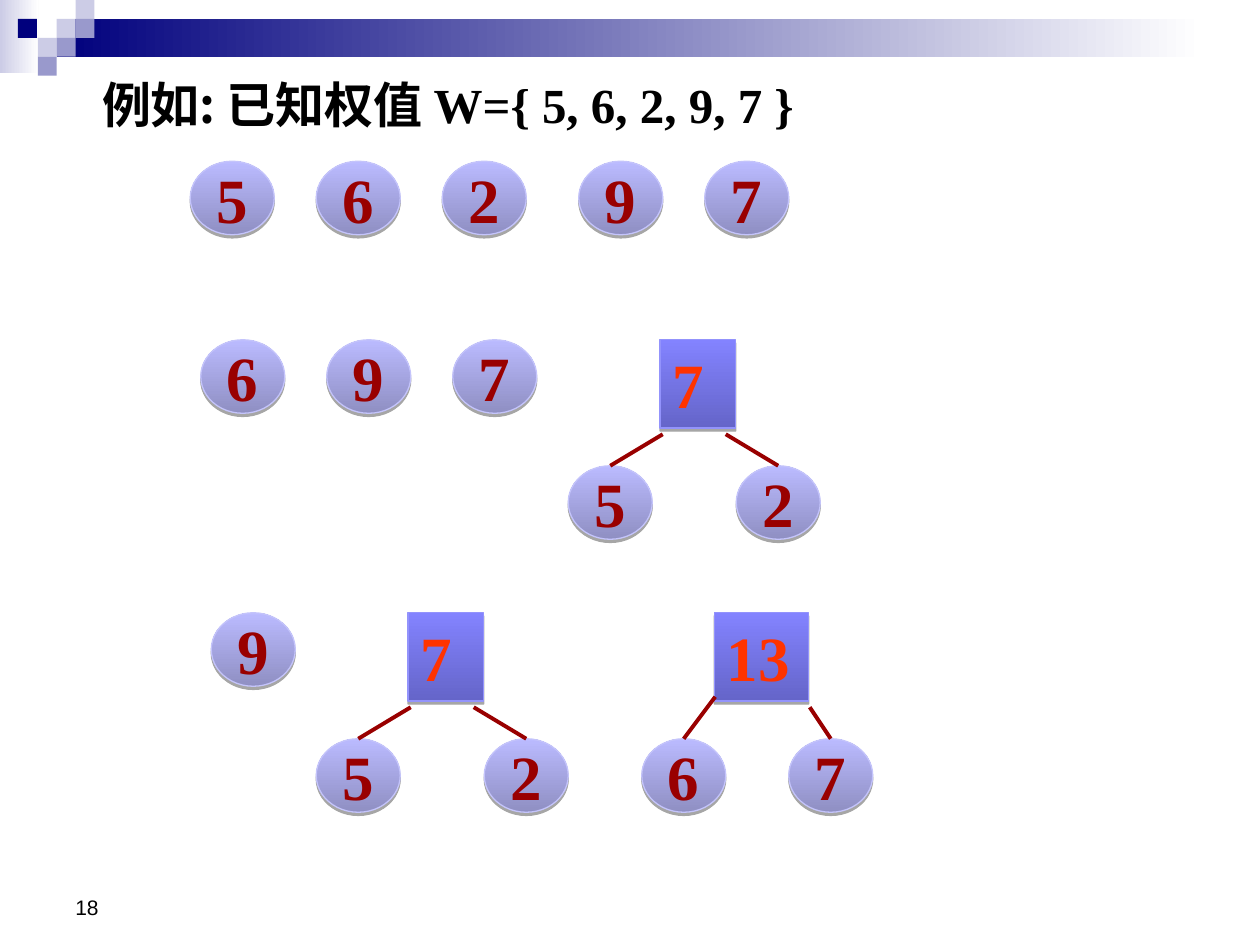
"""Build the slide showing the first merging steps of a Huffman tree."""
import lxml.etree
import pptx
import pptx.dml.color
import pptx.enum.shapes
import pptx.enum.text
import pptx.oxml.ns
import pptx.util

COLORS = {
    "navy": "00007D", "pale": "CCCCE6", "lilac": "9999CC", "white": "FFFFFF", "black": "000000",
    "leaf_low": "8F8FC3", "leaf_high": "BBBBFF", "leaf_edge": "C4C4FB",
    "root_low": "6565C9", "root_high": "8383FF", "root_edge": "9393FC",
    "leaf_text": "990000", "root_text": "FF3300", "branch": "990000",
}
RGB = {name: pptx.dml.color.RGBColor.from_string(code) for name, code in COLORS.items()}
SHAPES = pptx.enum.shapes.MSO_SHAPE
ANCHOR = pptx.enum.text.MSO_ANCHOR
ALIGN = pptx.enum.text.PP_ALIGN
FIT = pptx.enum.text.MSO_AUTO_SIZE
QN = pptx.oxml.ns.qn
CELL = pptx.util.Inches(1 / 12)
TILE = pptx.util.Inches(0.15)
LEFT, TOP = pptx.util.Inches(1.51), pptx.util.Inches(1.28)
SERIF, SANS, CHINESE = "Times New Roman", "Arial", "Noto Sans CJK SC"

KINDS = {
    "leaf": {
        "shape": SHAPES.OVAL,
        "frame": {"word_wrap": False, "vertical_anchor": ANCHOR.MIDDLE},
        "align": ALIGN.CENTER,
    },
    "root": {
        "shape": SHAPES.RECTANGLE,
        "frame": {"word_wrap": True, "vertical_anchor": ANCHOR.TOP,
                  "auto_size": FIT.SHAPE_TO_FIT_TEXT},
        "align": ALIGN.LEFT,
    },
}


def set_format(target, values, color=None):
    for name, value in values.items():
        setattr(target, name, value)
    if color:
        target.color.rgb = RGB[color]


def add_node(kind, text, column, row, columns=8, rows=7):
    shape = slide.shapes.add_shape(
        KINDS[kind]["shape"], LEFT + round(column * CELL), TOP + round(row * CELL),
        round(columns * CELL), round(rows * CELL))
    shape.fill.gradient()
    shape.fill.gradient_angle = 90
    for stop, end in zip(shape.fill.gradient_stops, ("low", "high")):
        set_format(stop, {"position": 0 if end == "low" else 1}, f"{kind}_{end}")
    set_format(shape.line, {"width": pptx.util.Pt(0.75)}, f"{kind}_edge")
    shape.shadow.inherit = False
    effects = shape._element.spPr.find(QN("a:effectLst"))
    shadow = lxml.etree.SubElement(effects, QN("a:outerShdw"), blurRad="0", dist="23000",
                                   dir="5400000", rotWithShape="0")
    tint = lxml.etree.SubElement(shadow, QN("a:srgbClr"), val=COLORS["black"])
    lxml.etree.SubElement(tint, QN("a:alpha"), val="35000")
    set_format(shape.text_frame, KINDS[kind]["frame"])
    paragraph = shape.text_frame.paragraphs[0]
    paragraph.text, paragraph.alignment = text, KINDS[kind]["align"]
    set_format(paragraph.font, {"name": SERIF, "size": pptx.util.Pt(36), "bold": True},
               f"{kind}_text")
    return shape


presentation = pptx.Presentation()
presentation.slide_width = pptx.util.Inches(10)
presentation.slide_height = pptx.util.Inches(7.5)
width, height = presentation.slide_width, presentation.slide_height
slide = presentation.slides.add_slide(presentation.slide_layouts[5])

for column, row, columns, rows, color in [
    (0, 0, 2.05, 3.87, "pale"), (3, 1, 60.67, 2, "navy"),
]:
    band = slide.shapes.add_shape(SHAPES.RECTANGLE, round(column * TILE), round(row * TILE),
                                  round(columns * TILE), round(rows * TILE))
    band.shadow.inherit = False
    band.line.fill.background()
    band.fill.gradient()
    band.fill.gradient_angle = 0
    for position, (stop, name) in enumerate(zip(band.fill.gradient_stops, (color, "white"))):
        set_format(stop, {"position": position}, name)

for column, row, color in [
    (3, 1, "pale"), (4, 0, "pale"), (4, 1, "lilac"), (2, 2, "pale"),
    (0.95, 1, "navy"), (3, 2, "lilac"), (2, 3, "lilac"),
]:
    tile = slide.shapes.add_shape(SHAPES.RECTANGLE, round(column * TILE), row * TILE, TILE, TILE)
    tile.shadow.inherit = False
    tile.line.fill.background()
    tile.fill.solid()
    tile.fill.fore_color.rgb = RGB[color]

title = slide.shapes.title
set_format(title, {"left": round(width * 0.071), "top": round(height * 0.072),
                   "width": round(width * 0.693), "height": round(height * 0.076)})
set_format(title.text_frame, {"word_wrap": True, "vertical_anchor": ANCHOR.TOP,
                              "auto_size": FIT.SHAPE_TO_FIT_TEXT})
paragraph = title.text_frame.paragraphs[0]
paragraph.alignment = ALIGN.LEFT
for text, name in [("例如: 已知权值 ", CHINESE), ("W={ 5, 6, 2, 9, 7 }", SERIF)]:
    run = paragraph.add_run()
    run.text = text
    set_format(run.font, {"name": name, "size": pptx.util.Pt(28), "bold": True}, "black")
    lxml.etree.SubElement(run._r.get_or_add_rPr(), QN("a:ea"), typeface=CHINESE)

number = slide.shapes.add_textbox(round(width * 0.05), round(height * 0.91),
                                  round(width * 0.233), round(height * 0.07))
set_format(number.text_frame, {"word_wrap": True, "vertical_anchor": ANCHOR.BOTTOM})
paragraph = number.text_frame.paragraphs[0]
paragraph.text = "18"
set_format(paragraph.font, {"name": SANS, "size": pptx.util.Pt(12)}, "black")

for row, leaves in [
    (0, [("5", 0), ("6", 12), ("2", 24), ("9", 37), ("7", 49)]),
    (17, [("6", 1), ("9", 13), ("7", 25)]),
    (43, [("9", 2)]),
]:
    for text, column in leaves:
        add_node("leaf", text, column, row)

for text, column, row, columns, branches in [
    ("7", 44.75, 17, 7.2, [("5", 36, 45, 9), ("2", 52, 51, 9)]),
    ("7", 20.75, 43, 7.2, [("5", 12, 21, 9), ("2", 28, 27, 9)]),
    ("13", 49.9, 43, 9, [("6", 43, 50, 8), ("7", 57, 59, 9)]),
]:
    add_node("root", text, column, row, columns, 8.4)
    for leaf_text, leaf_column, start_column, start_row in branches:
        leaf = add_node("leaf", leaf_text, leaf_column, row + 12)
        branch = slide.shapes.add_connector(
            pptx.enum.shapes.MSO_CONNECTOR.STRAIGHT, LEFT + start_column * CELL,
            TOP + (row + start_row) * CELL, leaf.left + leaf.width // 2, leaf.top)
        branch.end_connect(leaf, 0)
        set_format(branch.line, {"width": pptx.util.Pt(2.25)}, "branch")
        lxml.etree.SubElement(branch._element.spPr, QN("a:effectLst"))

presentation.save("out.pptx")
